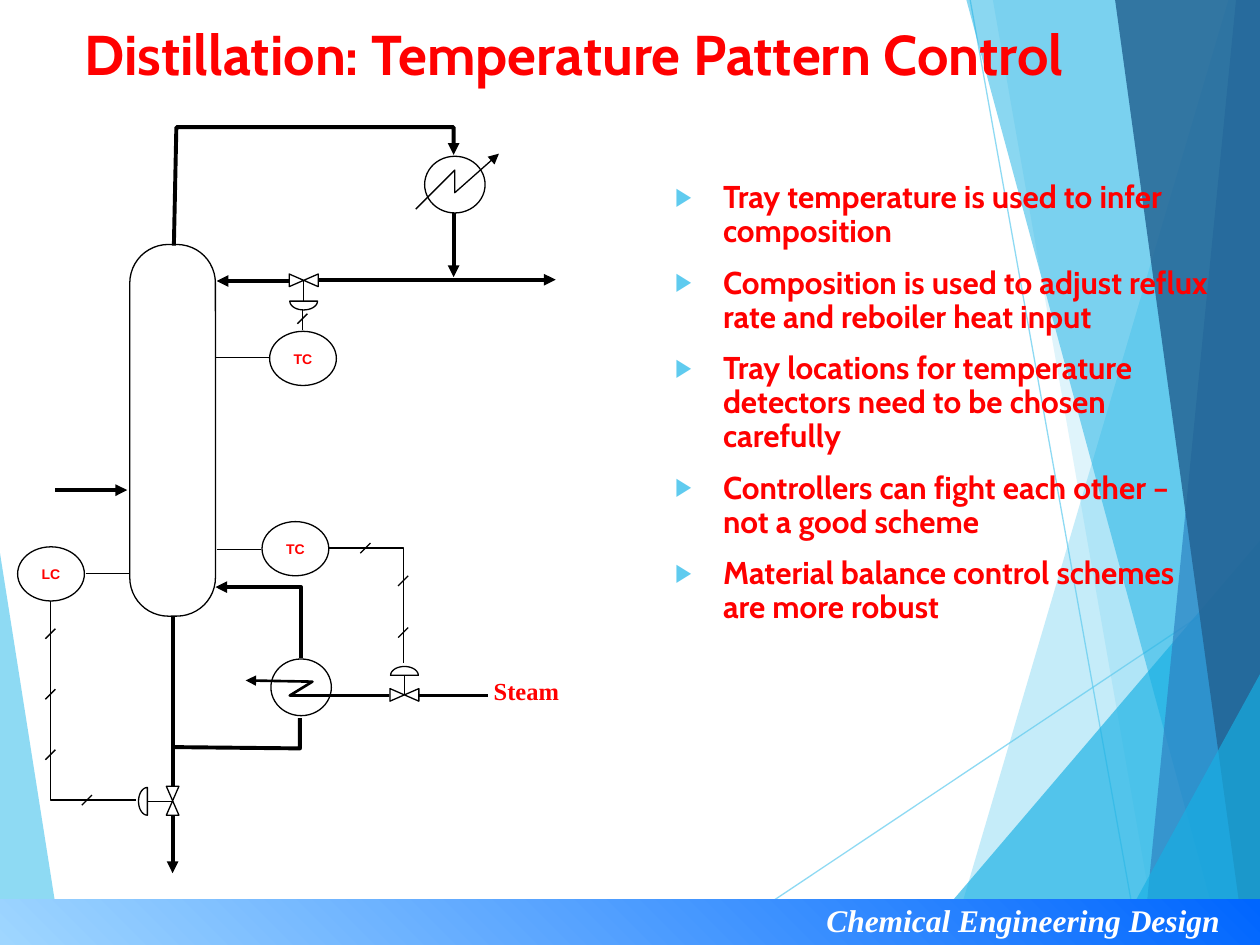
import math

import pptx
import pptx.dml.color
import pptx.enum.shapes
import pptx.enum.text
import pptx.oxml.ns
import pptx.util
from lxml import etree

Inches = pptx.util.Inches
Pt = pptx.util.Pt
RGBColor = pptx.dml.color.RGBColor
Shape = pptx.enum.shapes.MSO_SHAPE
Anchor = pptx.enum.text.MSO_ANCHOR
Align = pptx.enum.text.PP_ALIGN
qn = pptx.oxml.ns.qn

BLACK = RGBColor(0x00, 0x00, 0x00)
WHITE = RGBColor(0xFF, 0xFF, 0xFF)
RED = RGBColor(0xFF, 0x00, 0x00)
SKY = RGBColor(0x5F, 0xCB, 0xEF)
CYAN = RGBColor(0x17, 0xB0, 0xE4)
STEEL = RGBColor(0x2E, 0x83, 0xC3)
NAVY = RGBColor(0x23, 0x62, 0x92)
BAR_LIGHT = RGBColor(0x9F, 0xD6, 0xFF)
BAR_DARK = RGBColor(0x00, 0x66, 0xFF)

THIN, MEDIUM, THICK = 0.75, 1.5, 2.25

FACETS = [
    ([(0, 4.39), (0.49, 7.5), (0, 7.5)], SKY, 70),
    ([(9.75, 0), (7.54, 7.5), (10, 7.5), (10, 0)], SKY, 36),
    ([(7.88, 0), (9.19, 7.5), (10, 7.5), (10, 0)], SKY, 20),
    ([(7.26, 7.5), (10, 4.29), (10, 7.5)], CYAN, 66),
    ([(7.67, 0), (9.7, 7.5), (10, 7.5), (10, 0)], CYAN, 50),
    ([(9.81, 0), (9.07, 7.5), (10, 7.5), (10, 0)], STEEL, 70),
    ([(8.85, 0), (9.88, 7.5), (10, 7.5), (10, 0)], NAVY, 82),
    ([(8.82, 7.5), (10, 5.35), (10, 7.5)], CYAN, 66),
]
PIPES = [
    ([(2.39, 5.22), (2.39, 4.66), (1.71, 4.66)], THICK, True),
    ([(1.38, 1.95), (1.4, 1.01), (3.6, 1.01), (3.6, 1.23)], THICK, True),
    ([(1.39, 5.93), (2.38, 5.94), (2.38, 5.7)], THICK, False),
    ([(2.61, 4.35), (3.2, 4.35), (3.2, 5.26)], THIN, False),
    ([(0.4, 4.77), (0.4, 6.35), (1.08, 6.35)], THIN, False),
]
STREAMS = [
    ((2.29, 2.23), (1.72, 2.23)),
    ((2.53, 2.22), (4.41, 2.22)),
    ((3.6, 1.69), (3.6, 2.2)),
    ((0.44, 3.89), (1.01, 3.89)),
    ((1.37, 6.46), (1.37, 6.93)),
]
SIGNALS = [
    ((1.71, 2.84), (2.14, 2.84)),
    ((1.72, 4.36), (2.07, 4.36)),
    ((0.68, 4.55), (1.03, 4.55)),
    ((2.4, 2.62), (2.4, 2.46)),
]
SLASHES = [(2.4, 2.53), (2.9, 4.35), (3.2, 4.61), (3.2, 5.02),
           (0.4, 5.03), (0.4, 5.51), (0.4, 5.99), (0.69, 6.35)]
CONTROLLERS = [("TC", 2.14, 2.63), ("TC", 2.08, 4.14), ("LC", 0.14, 4.34)]
VALVES = [(2.41, 2.23, 90, 0.16), (3.21, 5.52, 270, 0.16), (1.37, 6.36, 180, 0.2)]
POINTS = [
    "Tray temperature is used to infer composition",
    "Composition is used to adjust reflux rate and reboiler heat input",
    "Tray locations for temperature detectors need to be chosen carefully",
    "Controllers can fight each other – not a good scheme",
    "Material balance control schemes are more robust",
]


class Diagram:
    def __init__(self, page):
        self.page = page
        self.ink = BLACK
        self.paper = WHITE

    def set_alpha(self, fill, percent):
        color = fill.find(".//" + qn("a:srgbClr"))
        etree.SubElement(color, qn("a:alpha")).set("val", str(percent * 1000))

    def stroke(self, shape, width, arrow=False, color=None):
        shape.line.color.rgb = color or self.ink
        shape.line.width = Pt(width)
        if arrow:
            line = shape.line._get_or_add_ln()
            etree.SubElement(line, qn("a:tailEnd")).set("type", "triangle")

    def line(self, start, end, width=THIN, arrow=False, color=None, alpha=None):
        ends = [Inches(value) for value in (*start, *end)]
        straight = pptx.enum.shapes.MSO_CONNECTOR.STRAIGHT
        connector = self.page.shapes.add_connector(straight, *ends)
        self.stroke(connector, width, arrow, color)
        properties = connector._element.spPr
        etree.SubElement(properties, qn("a:effectLst"))
        if alpha:
            self.set_alpha(properties, alpha)
        return connector

    def outline(self, points, close):
        corners = [(Inches(x), Inches(y)) for x, y in points]
        builder = self.page.shapes.build_freeform(*corners[0])
        builder.add_line_segments(corners[1:], close=close)
        shape = builder.convert_to_shape()
        shape.shadow.inherit = False
        return shape

    def facet(self, points, color, alpha):
        shape = self.outline(points, True)
        shape.fill.solid()
        shape.fill.fore_color.rgb = color
        shape.line.fill.background()
        self.set_alpha(shape._element.spPr, alpha)

    def pipe(self, points, width, arrow):
        shape = self.outline(points, False)
        shape.fill.background()
        self.stroke(shape, width, arrow)

    def vessel(self, kind, left, top, width, height):
        shape = self.page.shapes.add_shape(
            kind, Inches(left), Inches(top), Inches(width), Inches(height))
        shape.shadow.inherit = False
        shape.fill.solid()
        shape.fill.fore_color.rgb = self.paper
        self.stroke(shape, THIN)
        return shape

    def bar(self, left, top, width, height):
        shape = self.vessel(Shape.RECTANGLE, left, top, width, height)
        shape.line.fill.background()
        shape.fill.gradient()
        shape.fill.gradient_angle = 45
        for stop, color, place in zip(shape.fill.gradient_stops, (BAR_LIGHT, BAR_DARK), (0, 1)):
            stop.color.rgb = color
            stop.position = place

    def valve(self, x, y, angle, reach):
        body = self.vessel(Shape.FLOWCHART_COLLATE, x - 0.05, y - 0.12, 0.1, 0.23)
        body.rotation = angle
        cosine = math.cos(math.radians(angle))
        sine = math.sin(math.radians(angle))
        base_x, base_y = x + reach * cosine, y + reach * sine
        self.line((x, y), (base_x, base_y))
        arc = []
        for degrees in range(0, 181, 10):
            across = 0.11 * math.cos(math.radians(degrees))
            along = 0.07 * math.sin(math.radians(degrees))
            arc.append((base_x + along * cosine - across * sine,
                        base_y + along * sine + across * cosine))
        dome = self.outline(arc, True)
        dome.fill.solid()
        dome.fill.fore_color.rgb = self.paper
        self.stroke(dome, THIN)

    def format_text(self, frame, size, font, color, italic=None):
        for para in frame.paragraphs:
            for span in para.runs:
                span.font.size = Pt(size)
                span.font.name = font
                span.font.bold = True
                span.font.italic = italic
                span.font.color.rgb = color

    def controller(self, label, left, top):
        shape = self.vessel(Shape.OVAL, left, top, 0.53, 0.43)
        frame = shape.text_frame
        frame.text = label
        frame.word_wrap = False
        frame.vertical_anchor = Anchor.MIDDLE
        frame.paragraphs[0].alignment = Align.CENTER
        self.format_text(frame, 8, "Arial", RED)

    def text(self, words, place, size, font, color, italic=None, anchor=Anchor.TOP):
        box = self.page.shapes.add_textbox(*[Inches(value) for value in place])
        frame = box.text_frame
        frame.text = words
        frame.word_wrap = True
        frame.vertical_anchor = anchor
        self.format_text(frame, size, font, color, italic)
        return frame

    def bullets(self, items, place):
        frame = self.text("\n".join(items), place, 18, "Cabin", RED)
        for index, para in enumerate(frame.paragraphs):
            para.line_spacing = 0.9
            para.space_before = Pt(10 if index else 0)
            properties = para._p.get_or_add_pPr()
            properties.set("marL", str(Inches(0.38)))
            properties.set("indent", str(-Inches(0.38)))
            color = etree.SubElement(properties, qn("a:buClr"))
            etree.SubElement(color, qn("a:srgbClr")).set("val", str(SKY))
            etree.SubElement(properties, qn("a:buSzPct")).set("val", "80000")
            etree.SubElement(properties, qn("a:buFont")).set("typeface", "Arial")
            etree.SubElement(properties, qn("a:buChar")).set("char", "▶")


def main():
    deck = pptx.Presentation()
    deck.slide_width, deck.slide_height = Inches(10), Inches(7.5)
    diagram = Diagram(deck.slides.add_slide(deck.slide_layouts[6]))

    diagram.facet(*FACETS[0])
    diagram.line((5.61, 7.5), (10, 4.57), color=SKY, alpha=70)
    diagram.line((7.7, 0), (9.04, 7.5), color=SKY, alpha=70)
    for facet in FACETS[1:]:
        diagram.facet(*facet)
    diagram.bar(0, 7.14, 10, 0.36)
    diagram.text("Chemical Engineering Design", (6.46, 7.1, 3.5, 0.4), 18,
                 "Times New Roman", WHITE, italic=True)

    column = diagram.vessel(Shape.ROUNDED_RECTANGLE, 1.03, 1.94, 0.68, 2.95)
    column.adjustments[0] = 0.45
    bottoms = diagram.line((1.37, 6.26), (1.37, 4.89), THICK)
    bottoms.end_connect(column, 2)
    for pipe in PIPES:
        diagram.pipe(*pipe)
    for start, end in STREAMS:
        diagram.line(start, end, THICK, arrow=True)
    for start, end in SIGNALS:
        diagram.line(start, end)
    for x, y in SLASHES:
        diagram.line((x - 0.04, y + 0.04), (x + 0.04, y - 0.04))
    for controller in CONTROLLERS:
        diagram.controller(*controller)

    diagram.vessel(Shape.OVAL, 3.37, 1.24, 0.48, 0.45)
    diagram.pipe([(3.3, 1.66), (3.61, 1.35), (3.61, 1.53), (3.96, 1.22)], THIN, True)
    diagram.vessel(Shape.OVAL, 2.15, 5.23, 0.48, 0.45)
    diagram.pipe([(3.09, 5.52), (2.3, 5.52), (2.48, 5.41), (1.95, 5.4)], MEDIUM, True)
    diagram.line((3.32, 5.52), (3.87, 5.52), MEDIUM)
    for valve in VALVES:
        diagram.valve(*valve)
    diagram.text("Steam", (3.82, 5.32, 0.9, 0.34), 14, "Times New Roman", RED)

    diagram.text("Distillation: Temperature Pattern Control", (0.57, 0.1, 9.43, 0.65), 32,
                 "Cabin", RED, anchor=Anchor.MIDDLE)
    diagram.bullets(POINTS, (5.26, 1.39, 4.45, 5.47))
    deck.save("out.pptx")


if __name__ == "__main__":
    main()
